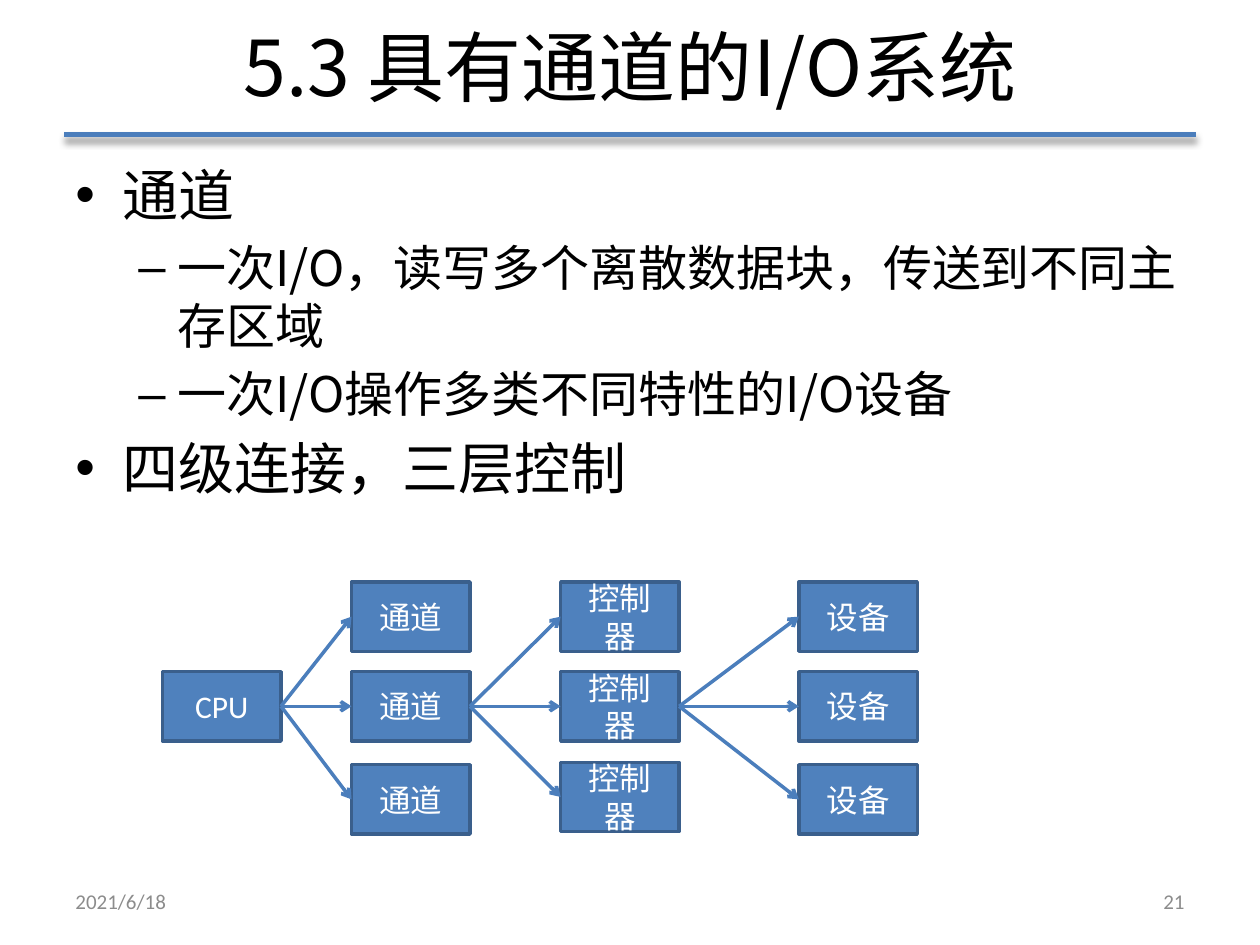
import pptx
import pptx.util
import pptx.dml.color
import pptx.enum.shapes
import pptx.enum.text
import pptx.oxml
import pptx.oxml.ns

Pt = pptx.util.Pt
RGB = pptx.dml.color.RGBColor
ALIGN = pptx.enum.text.PP_ALIGN
ANCHOR = pptx.enum.text.MSO_ANCHOR
SHAPE = pptx.enum.shapes.MSO_SHAPE
LINK = pptx.enum.shapes.MSO_CONNECTOR.STRAIGHT

BLACK = RGB(0x00, 0x00, 0x00)
WHITE = RGB(0xFF, 0xFF, 0xFF)
GRAY = RGB(0x8C, 0x8C, 0x8C)
BLUE = RGB(0x4F, 0x81, 0xBD)
EDGE = RGB(0x3A, 0x5F, 0x8C)
LINE = RGB(0x4B, 0x7E, 0xBC)

SANS = "Noto Sans CJK JP"
LATIN = "Calibri"

# Per level: size, left margin, hanging indent, bullet, line pitch
LEVELS = [(32, 27, 27, "•", 38), (28, 58.5, 22.5, "–", 33.4)]
BODY = [
    (0, "通道"),
    (1, "一次I/O，读写多个离散数据块，传送到不同主存区域"),
    (1, "一次I/O操作多类不同特性的I/O设备"),
    (0, "四级连接，三层控制"),
]

# Diagram grid: column label, left edge, tops of its boxes
BOX_W, BOX_H = 67.7, 39.6
TOP, MID, LOW = 332.6, 383.8, 437
COLS = [
    ("CPU", 92.9, [MID]),
    ("通道", 200.9, [TOP, MID, LOW]),
    ("控制器", 320.4, [TOP, MID, 435.6]),
    ("设备", 456.5, [TOP, MID, LOW]),
]


def add_xml(parent, xml):
    ns = pptx.oxml.ns.nsdecls("a")
    parent.append(pptx.oxml.parse_xml(xml.replace(" ", f" {ns} ", 1)))


def style(para, size, font, color, align=ALIGN.LEFT):
    para.alignment = align
    for run in para.runs:
        run.font.size = Pt(size)
        run.font.name = font
        run.font.color.rgb = color
        if font == SANS:
            add_xml(run.font._element, f'<a:ea typeface="{font}"/>')


def add_frame(slide, x, y, w, h, anchor=ANCHOR.MIDDLE):
    box = slide.shapes.add_textbox(Pt(x), Pt(y), Pt(w), Pt(h))
    frame = box.text_frame
    frame.word_wrap = True
    frame.vertical_anchor = anchor
    return frame


def add_label(slide, text, area, size, font, color, align):
    frame = add_frame(slide, *area)
    frame.text = text
    style(frame.paragraphs[0], size, font, color, align)


def add_body(slide):
    frame = add_frame(slide, 36, 88.6, 648, 393.8, ANCHOR.TOP)
    frame.text = "\n".join(text for _, text in BODY)
    for para, (level, _) in zip(frame.paragraphs, BODY):
        size, left, hang, mark, pitch = LEVELS[level]
        style(para, size, SANS, BLACK)
        para.level = level
        para.space_before = Pt(size * 0.2)
        para.line_spacing = Pt(pitch)
        props = para._p.get_or_add_pPr()
        props.set("marL", str(Pt(left)))
        props.set("indent", str(-Pt(hang)))
        add_xml(props, '<a:buFont typeface="Arial"/>')
        add_xml(props, f'<a:buChar char="{mark}"/>')


def add_box(slide, text, x, y):
    box = slide.shapes.add_shape(
        SHAPE.FLOWCHART_PROCESS, Pt(x), Pt(y), Pt(BOX_W), Pt(BOX_H))
    box.shadow.inherit = False
    box.fill.solid()
    box.fill.fore_color.rgb = BLUE
    box.line.color.rgb = EDGE
    box.line.width = Pt(2)
    frame = box.text_frame
    frame.word_wrap = True
    frame.vertical_anchor = ANCHOR.MIDDLE
    frame.text = text
    style(frame.paragraphs[0], 18, LATIN, WHITE, ALIGN.CENTER)
    return box


def add_line(slide, x1, y1, x2, y2, width):
    line = slide.shapes.add_connector(LINK, Pt(x1), Pt(y1), Pt(x2), Pt(y2))
    line.line.color.rgb = LINE
    line.line.width = Pt(width)
    return line


def add_rule(slide):
    rule = add_line(slide, 36.7, 77, 683.3, 77, 3)
    add_xml(rule._element.spPr,
            f'<a:effectLst ><a:outerShdw blurRad="{Pt(4)}" dist="{Pt(3)}" '
            'dir="5400000" rotWithShape="0"><a:srgbClr val="000000">'
            '<a:alpha val="40000"/></a:srgbClr></a:outerShdw></a:effectLst>')


def add_arrow(slide, start, end):
    arrow = add_line(slide, 0, 0, 0, 0, 2)
    arrow.begin_connect(start, 3)
    arrow.end_connect(end, 1)
    add_xml(arrow.line._get_or_add_ln(), '<a:tailEnd type="arrow"/>')
    add_xml(arrow._element.spPr, '<a:effectLst />')


def add_chain(slide):
    cols = [[add_box(slide, text, x, y) for y in tops]
            for text, x, tops in COLS]
    # The middle box of each column feeds the whole next column
    for col, after in zip(cols, cols[1:]):
        for box in after:
            add_arrow(slide, col[len(col) // 2], box)


def main():
    deck = pptx.Presentation()
    deck.slide_width, deck.slide_height = Pt(720), Pt(540)
    slide = deck.slides.add_slide(deck.slide_layouts[6])

    # Heading and bullets
    add_rule(slide)
    add_label(slide, "5.3 具有通道的I/O系统", (36, -2.2, 648, 79.2),
              44, SANS, BLACK, ALIGN.CENTER)
    add_body(slide)

    # Footer
    add_label(slide, "2021/6/18", (36, 500.4, 168, 28.8),
              12, LATIN, GRAY, ALIGN.LEFT)
    add_label(slide, "21", (516, 500.4, 168, 28.8),
              12, LATIN, GRAY, ALIGN.RIGHT)

    # Four linked levels
    add_chain(slide)
    deck.save("out.pptx")


if __name__ == "__main__":
    main()
